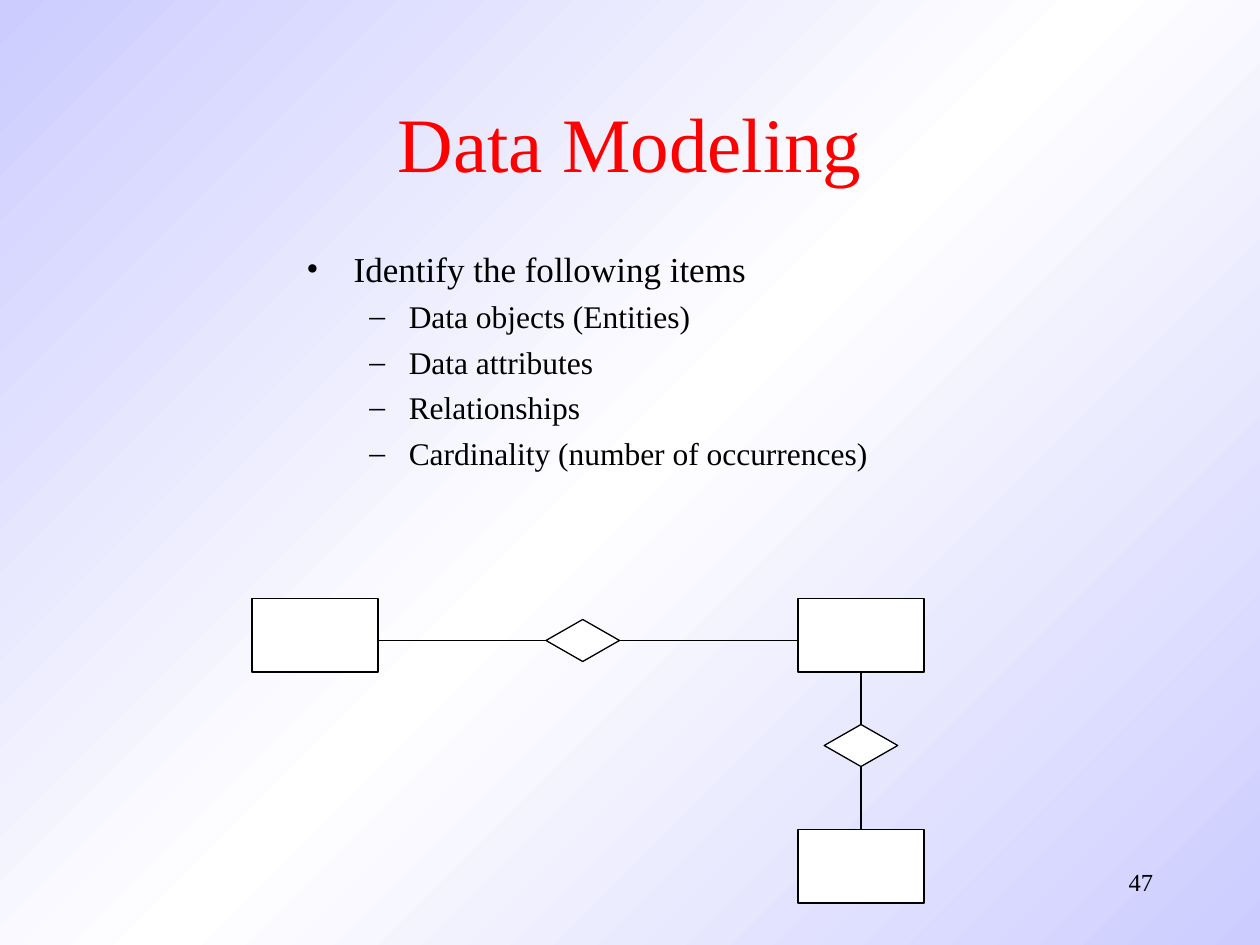
from copy import deepcopy
from lxml import etree
from pptx import Presentation
from pptx import util as u
from pptx.dml.color import RGBColor
from pptx.enum import shapes, text
from pptx.oxml.ns import qn

PX = 9525  # 96 px to the inch
FONT = "Times New Roman"


def color(code):
    return RGBColor.from_string(code)


def write(par, words, size, code="000000"):
    """Add one run to a paragraph and format it."""
    run = par.add_run()
    run.text = words
    run.font.name = FONT
    run.font.size = u.Pt(size)
    run.font.color.rgb = color(code)


deck = Presentation()
deck.slide_width, deck.slide_height = 960 * PX, 720 * PX
slide = deck.slides.add_slide(deck.slide_layouts[5])
items = slide.shapes

# Background: pale blue, white in the middle, along the diagonal
fill = slide.background.fill
fill.gradient()
fill.gradient_angle = 315
first = fill.gradient_stops[0]
first.color.rgb = color("CCCCFF")
stops = slide.background._cSld.find(".//" + qn("a:gsLst"))
while len(stops) > 1:
    stops.remove(stops[-1])
stops.extend([deepcopy(stops[0]) for _ in range(2)])
for stop, code, place in zip(fill.gradient_stops,
                             ("CCCCFF", "FFFFFF", "CCCCFF"), (0, 0.5, 1)):
    stop.color.rgb = color(code)
    stop.position = place

# Title
title = items.title
title.left, title.top, title.width, title.height = (
    n * PX for n in (72, 48, 816, 120))
title.text_frame.vertical_anchor = text.MSO_ANCHOR.MIDDLE
par = title.text_frame.paragraphs[0]
par.alignment = text.PP_ALIGN.CENTER
write(par, "Data Modeling", 44, "FF0000")

# Bullet list: level, words
body = items.add_textbox(*(n * PX for n in (224, 184, 616, 304))).text_frame
body.word_wrap = True
points = [
    (0, "Identify the following items"),
    (1, "Data objects (Entities)"),
    (1, "Data attributes"),
    (1, "Relationships"),
    (1, "Cardinality (number of occurrences)"),
]
styles = [("•", 36, 36, 20), ("–", 78, 30, 18)]
for i, (level, words) in enumerate(points):
    mark, left, hang, size = styles[level]
    par = body.add_paragraph() if i else body.paragraphs[0]
    par.level = level
    if i:
        par.space_before = u.Pt(4.4)
    props = par._p.get_or_add_pPr()
    props.set("marL", str(left * PX))
    props.set("indent", str(-hang * PX))
    etree.SubElement(props, qn("a:buFont")).set("typeface", FONT)
    etree.SubElement(props, qn("a:buChar")).set("char", mark)
    write(par, words, size)

# Slide number
page = items.add_textbox(*(n * PX for n in (688, 656, 200, 48))).text_frame
page.word_wrap = True
page.paragraphs[0].alignment = text.PP_ALIGN.RIGHT
write(page.paragraphs[0], "47", 14)

# Entities and relationships
kinds = {
    "entity": (shapes.MSO_SHAPE.RECTANGLE, 96, 56),
    "link": (shapes.MSO_SHAPE.DIAMOND, 56, 32),
}
nodes = []
for name, x, y in [("entity", 192, 456), ("entity", 608, 456),
                   ("entity", 608, 632), ("link", 416, 472),
                   ("link", 628, 552)]:
    kind, wide, high = kinds[name]
    node = items.add_shape(kind, x * PX, y * PX, wide * PX, high * PX)
    node.shadow.inherit = False
    node.fill.solid()
    node.fill.fore_color.rgb = color("FFFFFF")
    node.line.color.rgb = color("000000")
    node.line.width = u.Pt(0.75)
    nodes.append(node)
source, hub, target, across, down = nodes

# Lines: start x, y, end x, y, start joint, end joint
lines = [
    (416, 488, 288, 488, (across, 1), None),
    (472, 488, 608, 488, (across, 3), None),
    (656, 552, 656, 512, (down, 0), (hub, 2)),
    (656, 632, 656, 584, (target, 0), (down, 2)),
]
for *ends, start, stop in lines:
    line = items.add_connector(shapes.MSO_CONNECTOR.STRAIGHT,
                               *(n * PX for n in ends))
    line.begin_connect(*start)
    if stop:
        line.end_connect(*stop)
    line.line.color.rgb = color("000000")
    line.line.width = u.Pt(0.75)
    etree.SubElement(line._element.spPr, qn("a:effectLst"))

deck.save("out.pptx")
